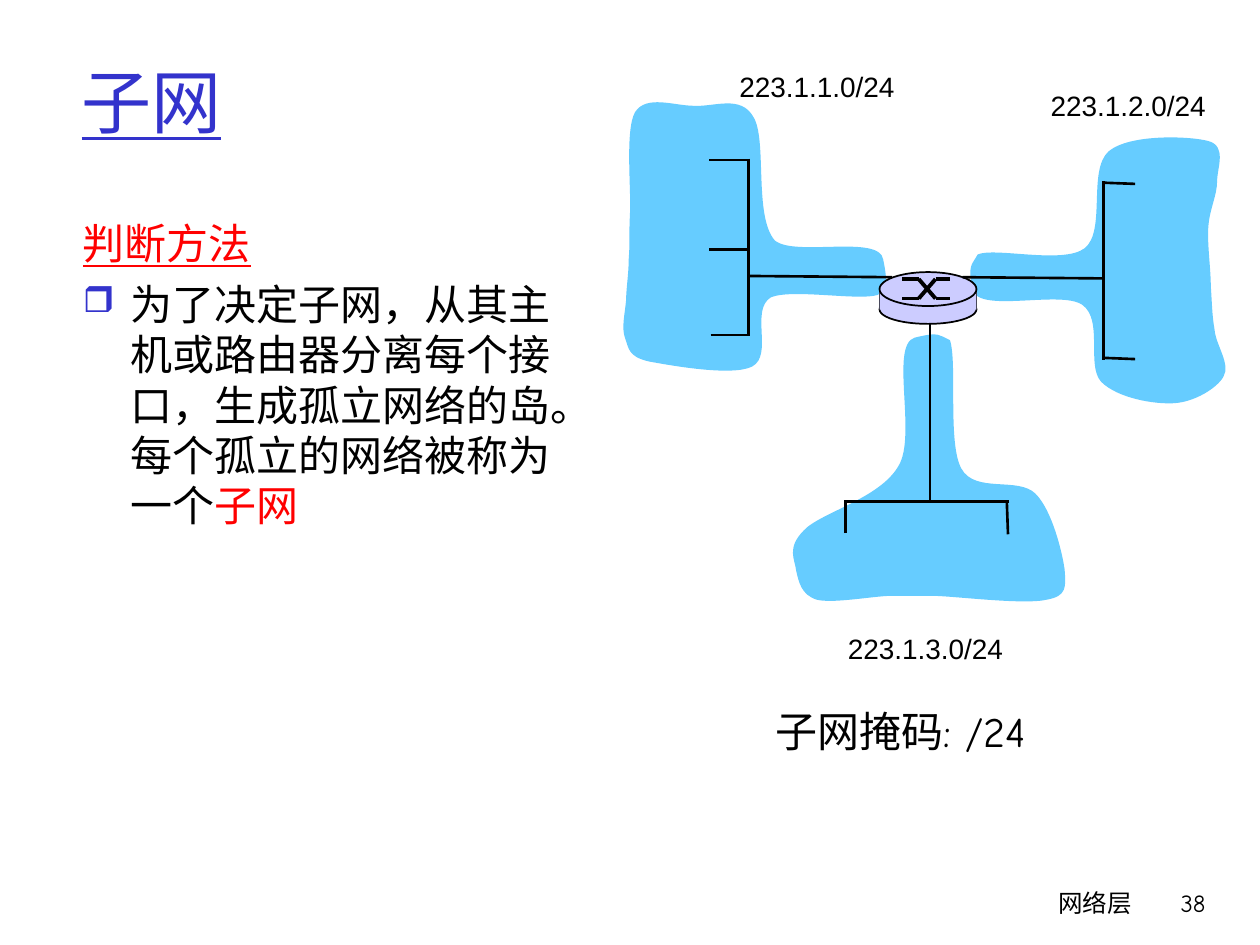
from pptx import Presentation
from pptx.dml.color import RGBColor
from pptx.enum.shapes import MSO_CONNECTOR as Connector, MSO_SHAPE as Shape
from pptx.enum.text import MSO_ANCHOR as Anchor, PP_ALIGN as Align
from pptx.oxml.ns import qn
from pptx.util import Pt
from lxml.etree import SubElement

BLACK, BLUE, RED, SKY, LILAC = "000000", "3333CC", "FF0000", "66CCFF", "CCCCFF"
SERIF, COMIC, SANS = "Times New Roman", "Comic Neue", "Arial"

# Text: box (left, top, width, height), wording, format, wrap, alignment, anchor
TEXTS = [
    ((426, 504, 228, 36), "网络层", dict(size=14, name=COMIC), True, Align.RIGHT, Anchor.TOP),
    ((643, 504, 53, 36), "38", dict(size=14, name=COMIC), True, Align.RIGHT, Anchor.TOP),
    ((39.6, 12.2, 410, 90), "子网", dict(size=40, name=SERIF, color=BLUE, underline=True),
     True, Align.LEFT, Anchor.MIDDLE),
    ((436.3, 399.6, 166.3, 36), "子网掩码: /24", dict(size=24, name=COMIC),
     False, Align.LEFT, Anchor.TOP),
]
SUBNETS = [("223.1.1.0/24", 415.4, 36), ("223.1.2.0/24", 593.3, 46.8),
           ("223.1.3.0/24", 477.4, 357.1)]
BODY_BOX = (40.3, 121, 300.2, 365.8)
BODY_FORMAT = dict(size=24, name=SERIF)
BODY = [
    (None, [("判断方法", dict(color=RED, underline=True))]),
    ("❒", [("为了决定子网，从其主机或路由器分离每个接口，生成孤立网络的岛。每个孤立的网络被称为一个", {}),
           ("子网", dict(color=RED))]),
]

# Islands: a start point, then three Bezier points for each curve
ISLANDS = [
    [(504.7, 148.3),
     (502.6, 133.9), (454.3, 146.9), (442.8, 137.5), (430.6, 123.8), (438.5, 79.9), (430.6, 67),
     (423.4, 54), (408.2, 61.2), (396.7, 60.5), (385.2, 60.5), (369.4, 54), (362.9, 64.1),
     (357.1, 74.2), (360.7, 108), (360, 121.7), (359.3, 136.1), (360, 139.7), (359.3, 147.6),
     (359.3, 156.2), (357.8, 164.9), (357.8, 171.4), (357.1, 179.3), (355, 187.2), (357.1, 193),
     (359.3, 198.7), (358.6, 203.8), (370.8, 206.6), (383, 208.8), (418.3, 215.3), (429.8, 209.5),
     (442.1, 203), (428.4, 177.1), (440.6, 169.9), (452.9, 164.9), (491, 172.1), (501.8, 168.5),
     (506.2, 162), (507.6, 162.7), (504.7, 148.3)],
    [(555.8, 165.6),
     (559.4, 179.3), (606.2, 165.6), (618.5, 174.2), (630.7, 182.9), (620.6, 208.8), (629.3, 218.2),
     (638.6, 227.5), (659.5, 231.1), (671, 230.4), (682.6, 229.7), (695.5, 221.8), (699.1, 215.3),
     (703.4, 208.1), (694.8, 197.3), (694.1, 188.6), (692.6, 180), (692.6, 172.8), (691.9, 163.4),
     (691.9, 153.4), (689.8, 139.7), (690.5, 129.6), (691.2, 119.5), (695.5, 111.6), (695.5, 103.7),
     (695.5, 95.8), (701.3, 83.5), (690.5, 80.6), (680.4, 77.8), (645.8, 76.3), (633.6, 86.4),
     (621.4, 97.2), (632.2, 131.8), (619.9, 141.8), (607.7, 151.2), (568.8, 141.1), (558.7, 145.4),
     (555.1, 151.9), (553, 151.2), (555.8, 165.6)],
    [(522.7, 193),
     (508.3, 197.3), (524.2, 249.1), (513.4, 266.4), (502.6, 285.1), (468.7, 293), (459.4, 303.1),
     (449.3, 313.2), (454.3, 319.7), (455, 326.2), (456.5, 332.6), (457.9, 339.8), (466.6, 342.7),
     (475.2, 344.9), (495.4, 341.3), (506.9, 340.6), (518.4, 340.6), (520.6, 340.6), (535.7, 340.6),
     (550.8, 341.3), (586.1, 345.6), (598.3, 342.7), (609.8, 340.6), (609.1, 335.5), (608.4, 325.4),
     (607, 315.4), (601.2, 291.6), (591.8, 282.2), (581.8, 272.2), (557.3, 282.2), (549.4, 267.8),
     (541.4, 253.4), (547.2, 207.4), (542.9, 194.4), (536.4, 191.5), (537.1, 189.4), (522.7, 193)],
]

# Cables: x1, y1, x2, y2
LEFT_CABLES = [(405.4, 91.4, 427, 91.4), (427.7, 90.7, 427.7, 192.2),
               (405.4, 142.6, 427, 142.6), (406.1, 191.5, 427.7, 191.5),
               (427.7, 157.7, 509.8, 158.4)]
OTHER_CABLES = [(550.1, 158.4, 630, 159.1), (630.7, 103.7, 630.7, 205.9),
                (630.7, 104.4, 648.7, 105.1), (630.7, 204.5, 648.7, 205.2),
                (531.4, 185, 531.4, 287.3), (576.7, 286.6, 483.1, 286.6),
                (483.1, 304.6, 483.1, 285.8), (576, 305.3, 575.3, 285.8)]

# Router
ROUTER_LEFT, ROUTER_RIGHT, ROUTER_WIDTH = 502.6, 558, 55.4
RIM_TOP, RIM_BOTTOM = 167, 177.8
CROSS_X = (515.5, 525, 534.6, 543)
CROSS_TOP, CROSS_BOTTOM = 159.5, 170.6

deck = Presentation()
deck.slide_width, deck.slide_height = Pt(720), Pt(540)
page = deck.slides.add_slide(deck.slide_layouts[6])


def rgb(value):
    return RGBColor.from_string(value)


def add_span(para, text, style):
    span = para.add_run()
    span.text = text
    values = dict(color=BLACK) | style
    span.font.color.rgb = rgb(values.pop("color"))
    values["size"] = Pt(values["size"])
    for key, value in values.items():
        setattr(span.font, key, value)


def add_box(place, wrap=True, anchor=Anchor.TOP):
    frame = page.shapes.add_textbox(*map(Pt, place)).text_frame
    frame.word_wrap = wrap
    frame.vertical_anchor = anchor
    return frame


def add_line(x1, y1, x2, y2, width=1.5):
    line = page.shapes.add_connector(Connector.STRAIGHT, *map(Pt, (x1, y1, x2, y2)))
    line.line.color.rgb = rgb(BLACK)
    line.line.width = Pt(width)
    SubElement(line._element.spPr, qn("a:effectLst"))


def paint(shape, fill, outlined=False):
    shape.shadow.inherit = False
    shape.fill.solid()
    shape.fill.fore_color.rgb = rgb(fill)
    if outlined:
        shape.line.color.rgb = rgb(BLACK)
        shape.line.width = Pt(1)
    else:
        shape.line.fill.background()


def add_island(points):
    start, *rest = [(Pt(x), Pt(y)) for x, y in points]
    builder = page.shapes.build_freeform(*start)
    builder.add_line_segments(rest, close=True)
    island = builder.convert_to_shape()
    # Each three straight steps become one Bezier curve
    steps = list(island._element.iter(qn("a:lnTo")))
    for first, second, third in zip(steps[::3], steps[1::3], steps[2::3]):
        first.tag = qn("a:cubicBezTo")
        for step in (second, third):
            first.append(step[0])
            step.getparent().remove(step)
    paint(island, SKY)


def add_part(kind, top, height, outlined):
    place = (ROUTER_LEFT, top, ROUTER_WIDTH, height)
    paint(page.shapes.add_shape(kind, *map(Pt, place)), LILAC, outlined)


# Islands and the left network
for points in ISLANDS:
    add_island(points)
for cable in LEFT_CABLES:
    add_line(*cable)

# Router body, lid and crossing arrows
add_part(Shape.OVAL, 168.5, 16.6, True)
for x in (ROUTER_LEFT, ROUTER_RIGHT):
    add_line(x, RIM_TOP, x, RIM_BOTTOM, 1)
add_part(Shape.RECTANGLE, RIM_TOP, 10, False)
add_part(Shape.OVAL, 155.5, 19.4, True)
x1, x2, x3, x4 = CROSS_X
for start, end in ((CROSS_TOP, CROSS_BOTTOM), (CROSS_BOTTOM, CROSS_TOP)):
    for stroke in ((x1, start, x2, start), (x2, start, x3, end), (x3, end, x4, end)):
        add_line(*stroke, 2.25)

# Right and bottom networks
for cable in OTHER_CABLES:
    add_line(*cable)

# Single-line texts
labels = [((x, y, 103.7, 26.6), text, dict(size=16, name=SANS), False, Align.LEFT, Anchor.TOP)
          for text, x, y in SUBNETS]
for place, text, style, wrap, align, anchor in TEXTS + labels:
    para = add_box(place, wrap, anchor).paragraphs[0]
    para.alignment = align
    add_span(para, text, style)

# Body text
frame = add_box(BODY_BOX)
for index, (bullet, spans) in enumerate(BODY):
    para = frame.add_paragraph() if index else frame.paragraphs[0]
    props = para._p.get_or_add_pPr()
    props.set("marL", str(Pt(27)))
    props.set("indent", str(-Pt(27)))
    if bullet:
        SubElement(SubElement(props, qn("a:buClr")), qn("a:srgbClr"), val=BLUE)
        SubElement(props, qn("a:buSzPct"), val="85000")
        SubElement(props, qn("a:buChar"), char=bullet)
    if index:
        para.space_before = Pt(5.7)
    for text, style in spans:
        add_span(para, text, BODY_FORMAT | style)

deck.save("out.pptx")
